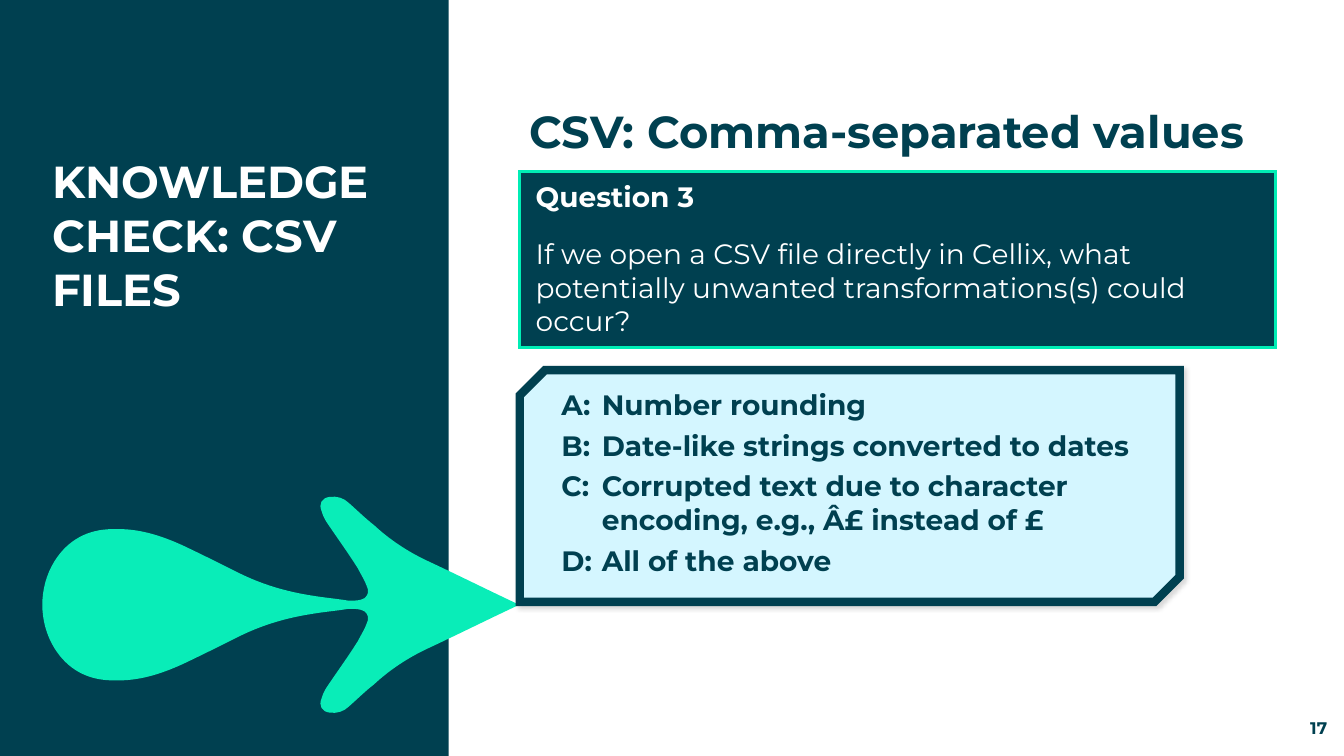
from lxml.etree import SubElement
from pptx import Presentation
from pptx.dml.color import RGBColor
from pptx.enum.shapes import MSO_SHAPE as Shape
from pptx.enum.text import MSO_ANCHOR as Anchor, PP_ALIGN as Align
from pptx.oxml.ns import qn
from pptx.util import Emu, Inches, Pt

WIDTH, HEIGHT = Inches(13.33), Inches(7.5)
COLORS = {"ink": "004050", "mint": "09EDB8", "border": "00EDB5",
          "ice": "D4F6FF", "white": "FFFFFF", "black": "000000"}

# Places as percentages of the slide: left, top, width, height
PLACES = {
    "panel": (0, 0, 33.38, 100),
    "title": (3.15, 19.73, 28.28, 40.13),
    "number": (92.3, 94.93, 6.45, 2.67),
    "question": (38.66, 22.68, 56.22, 23.25),
    "answers": (38.68, 48.95, 49.1, 30.67),
    "heading": (38.64, 9.2, 57.84, 15.47),
}

ANSWERS = [
    "A:\tNumber rounding",
    "B:\tDate-like strings converted to dates",
    "C:\tCorrupted text due to character encoding, e.g., Â£ instead of £",
    "D:\tAll of the above",
]

# Upper half of the arrow, in inches, tail to tip: two controls and an end
ARROW_AXIS = 6.0
ARROW_TAIL = (0.42, ARROW_AXIS)
ARROW_CURVES = [
    ((0.42, 5.85), (0.46, 5.7), (0.54, 5.57)),
    ((0.67, 5.36), (0.87, 5.25), (1.12, 5.25)),
    ((1.37, 5.24), (1.59, 5.31), (1.81, 5.41)),
    ((2, 5.5), (2.18, 5.59), (2.36, 5.68)),
    ((2.6, 5.8), (2.84, 5.87), (3.1, 5.91)),
    ((3.22, 5.93), (3.34, 5.94), (3.46, 5.96)),
    ((3.5, 5.96), (3.54, 5.96), (3.58, 5.95)),
    ((3.63, 5.94), (3.66, 5.89), (3.65, 5.85)),
    ((3.65, 5.84), (3.65, 5.83), (3.64, 5.82)),
    ((3.62, 5.76), (3.58, 5.7), (3.55, 5.64)),
    ((3.45, 5.48), (3.34, 5.33), (3.24, 5.18)),
    ((3.22, 5.15), (3.2, 5.11), (3.19, 5.07)),
    ((3.16, 5), (3.19, 4.94), (3.27, 4.93)),
    ((3.34, 4.92), (3.41, 4.94), (3.46, 4.99)),
    ((3.54, 5.06), (3.62, 5.14), (3.71, 5.21)),
    ((3.86, 5.35), (4.04, 5.47), (4.23, 5.56)),
    ((4.53, 5.7), (4.83, 5.85), (5.15, ARROW_AXIS)),
]


def color(name):
    return RGBColor.from_string(COLORS[name])


def place(name):
    sides = (WIDTH, HEIGHT, WIDTH, HEIGHT)
    return [Emu(round(side * share / 100)) for side, share in zip(sides, PLACES[name])]


def set_values(target, values):
    for name, value in values.items():
        setattr(target, name, value)


def paint(shape, fill, line=None, weight=0):
    shape.shadow.inherit = False
    shape.fill.solid()
    shape.fill.fore_color.rgb = color(fill)
    if line:
        shape.line.color.rgb = color(line)
        shape.line.width = Pt(weight)
        SubElement(shape.line._get_or_add_ln(), qn("a:miter"), lim="800000")
    else:
        shape.line.fill.background()


def add_box(page, name, kind, fill, line=None, weight=0):
    box = page.shapes.add_shape(kind, *place(name))
    paint(box, fill, line, weight)
    return box


def add_label(page, name, text, size, ink, frame=None, **layout):
    box = page.shapes.add_textbox(*place(name))
    fill_frame(box, frame or {})
    write(box.text_frame.paragraphs[0], text, size, ink, **layout)


def fill_frame(box, values):
    set_values(box.text_frame, {"word_wrap": True, "vertical_anchor": Anchor.TOP, **values})


def write(para, text, size, ink, bold=True, **layout):
    set_values(para, {"alignment": Align.LEFT, **layout})
    span = para.add_run()
    span.text = text
    set_values(span.font, {"name": "Montserrat", "size": Pt(size), "bold": bold})
    span.font.color.rgb = color(ink)


def hang(para, margin, indent):
    props = para._p.get_or_add_pPr()
    props.set("marL", str(Inches(margin)))
    props.set("indent", str(Inches(indent)))
    stops = SubElement(props, qn("a:tabLst"))
    SubElement(stops, qn("a:tab"), pos=str(Inches(margin)), algn="l")


def cast_shadow(shape):
    effects = shape._element.spPr.find(qn("a:effectLst"))
    shadow = SubElement(effects, qn("a:outerShdw"), blurRad=str(Pt(3)), dist=str(Pt(2)),
                        dir=str(45 * 60000), algn="tl", rotWithShape="0")
    tint = SubElement(shadow, qn("a:srgbClr"), val=COLORS["black"])
    SubElement(tint, qn("a:alpha"), val="15000")


def mirror(point):
    return point[0], 2 * ARROW_AXIS - point[1]


def to_emu(point):
    return Inches(point[0]), Inches(point[1])


def bend(shape, curves):
    """Turn the straight segments of a freeform into cubic curves."""
    segments = list(shape._element.iter(qn("a:lnTo")))
    for segment, (first, second, _) in zip(segments, curves):
        segment.tag = qn("a:cubicBezTo")
        for index, control in enumerate((first, second)):
            x, y = to_emu(control)
            handle = SubElement(segment, qn("a:pt"), x=str(x - shape.left), y=str(y - shape.top))
            segment.insert(index, handle)


def add_arrow(page):
    starts = [ARROW_TAIL] + [end for _, _, end in ARROW_CURVES[:-1]]
    lower = [(mirror(second), mirror(first), mirror(start))
             for start, (first, second, _) in zip(starts, ARROW_CURVES)]
    curves = ARROW_CURVES + lower[::-1]
    outline = page.shapes.build_freeform(*to_emu(ARROW_TAIL))
    outline.add_line_segments([to_emu(end) for _, _, end in curves], close=True)
    arrow = outline.convert_to_shape()
    bend(arrow, curves)
    paint(arrow, "mint")


def add_question(page):
    box = add_box(page, "question", Shape.RECTANGLE, "ink", "border", 2.25)
    fill_frame(box, {"margin_left": Inches(0.16), "margin_right": Inches(0.16),
                     "margin_top": Inches(0.08), "margin_bottom": Inches(0.08)})
    write(box.text_frame.paragraphs[0], "Question 3", 20, "white", space_after=Pt(16.7))
    write(box.text_frame.add_paragraph(),
          "If we open a CSV file directly in Cellix, what potentially unwanted "
          "transformations(s) could occur?", 20, "white", bold=False)


def add_answers(page):
    box = add_box(page, "answers", Shape.SNIP_2_DIAG_RECTANGLE, "ice", "ink", 6)
    box.adjustments[0], box.adjustments[1] = 0, 0.109
    box._element.spPr.xfrm.set("flipH", "1")
    cast_shadow(box)
    fill_frame(box, {})
    for index, answer in enumerate(ANSWERS):
        para = box.text_frame.add_paragraph() if index else box.text_frame.paragraphs[0]
        hang(para, 0.59, -0.4)
        write(para, answer, 20, "ink", space_after=Pt(5))


def main():
    deck = Presentation()
    set_values(deck, {"slide_width": WIDTH, "slide_height": HEIGHT})
    page = deck.slides.add_slide(deck.slide_layouts[6])

    # Side panel
    add_box(page, "panel", Shape.RECTANGLE, "ink")
    add_arrow(page)
    add_label(page, "title", "KNOWLEDGE CHECK: CSV FILES", 32, "white")

    # Quiz
    add_question(page)
    add_answers(page)
    add_label(page, "heading", "CSV: Comma-separated values", 32, "ink",
              {"vertical_anchor": Anchor.MIDDLE}, line_spacing=Pt(42))

    # Page number
    flush = {f"margin_{side}": 0 for side in ("left", "top", "right", "bottom")}
    add_label(page, "number", "17", 12, "ink",
              {"vertical_anchor": Anchor.BOTTOM, **flush}, alignment=Align.RIGHT)

    deck.save("out.pptx")


if __name__ == "__main__":
    main()
